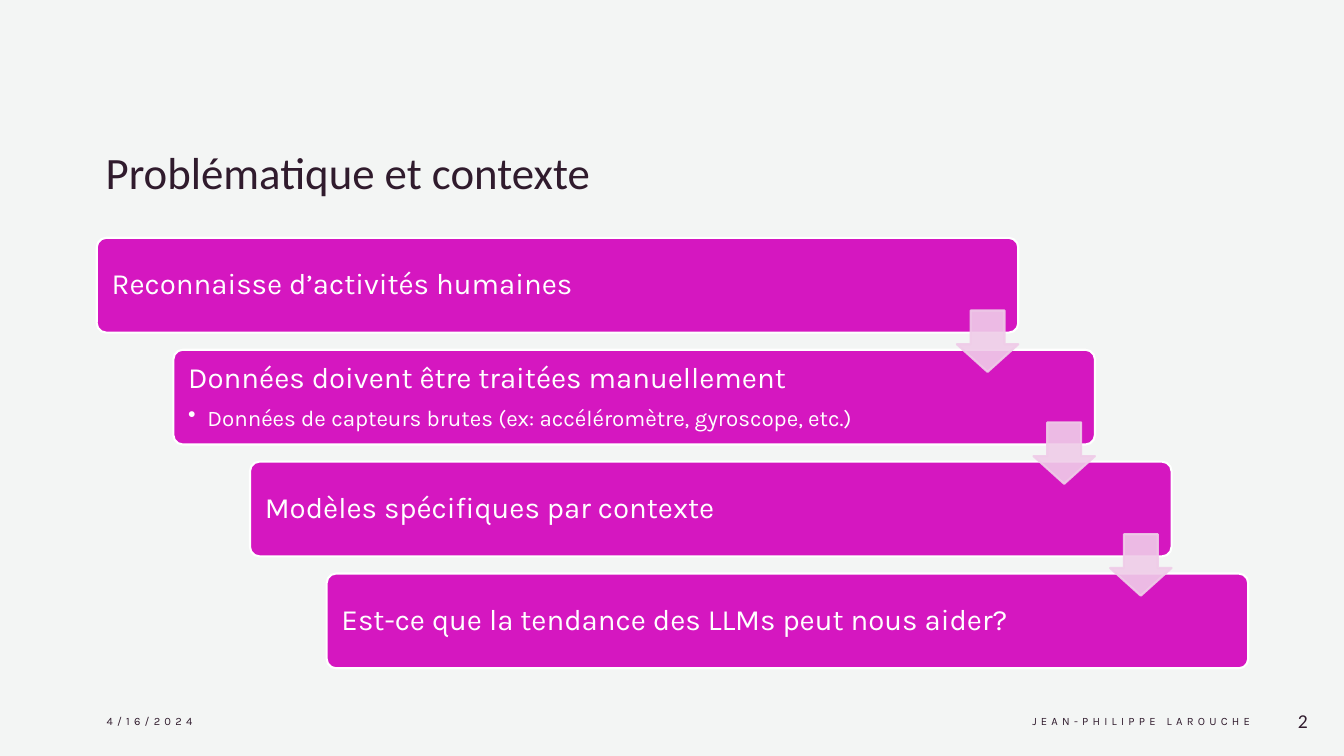
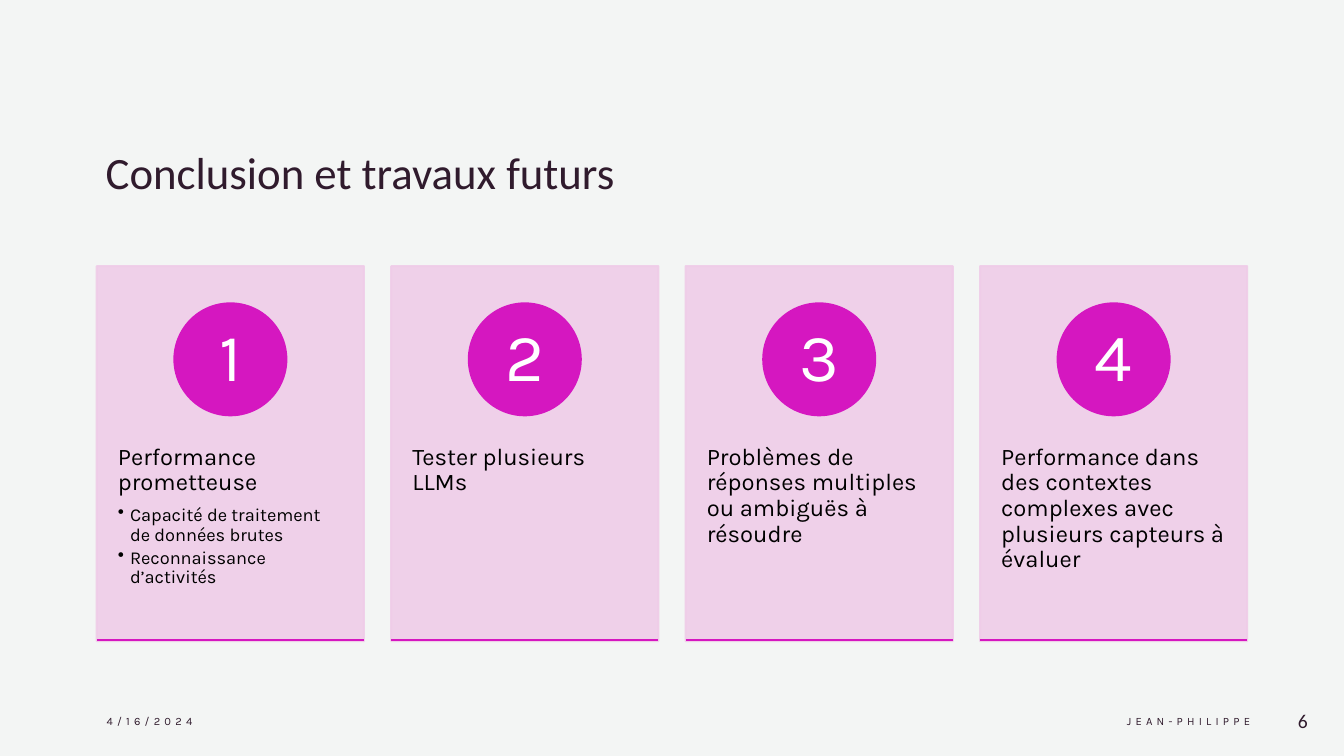
from lxml import etree
from pptx import Presentation
from pptx.dml.color import RGBColor
from pptx.enum.shapes import MSO_CONNECTOR, MSO_SHAPE
from pptx.enum.text import MSO_ANCHOR, PP_ALIGN
from pptx.oxml.ns import qn
from pptx.util import Inches, Pt

RECTANGLE = MSO_SHAPE.RECTANGLE
ROUNDED = MSO_SHAPE.ROUNDED_RECTANGLE
OVAL = MSO_SHAPE.OVAL
DOWN_ARROW = MSO_SHAPE.DOWN_ARROW
STRAIGHT = MSO_CONNECTOR.STRAIGHT
TOP, MIDDLE, BOTTOM = MSO_ANCHOR.TOP, MSO_ANCHOR.MIDDLE, MSO_ANCHOR.BOTTOM
LEFT, CENTER, RIGHT = PP_ALIGN.LEFT, PP_ALIGN.CENTER, PP_ALIGN.RIGHT

COLORS = {
    "page": "F3F5F4",
    "ink": "301B2D",
    "accent": "D517C0",
    "tint": "EFCCE8",
    "white": "FFFFFF",
    "black": "000000",
}
DATE = "4/16/2024"
LINE_WIDTH = 1.5
BODY_SPACING = 0.9
HEAD_GAP = 0.41
BULLET_GAP = 0.18

STYLES = {
    "title": {"font": {"name": "Calibri", "size": Pt(32)}, "color": "ink"},
    "footer": {"font": {"name": "Karla", "size": Pt(8)}, "color": "ink",
               "para": {"space_after": Pt(6)}, "tracking": 3},
    "number": {"font": {"name": "Calibri", "size": Pt(14)}, "color": "ink",
               "para": {"space_after": Pt(6)}},
}


def body_style(size, color, gap, align=LEFT, indent=0):
    return {
        "font": {"name": "Karla", "size": Pt(size)},
        "color": color,
        "para": {"line_spacing": BODY_SPACING, "space_after": Pt(round(size * gap, 1)),
                 "alignment": align, "level": 1 if indent else 0},
        "indent": indent,
    }


STYLES.update({
    "step": body_style(21, "white", HEAD_GAP),
    "step_bullet": body_style(16, "white", BULLET_GAP, indent=0.19),
    "card": body_style(17, "black", HEAD_GAP),
    "card_bullet": body_style(13, "black", BULLET_GAP, indent=0.12),
    "badge": body_style(48, "white", HEAD_GAP, CENTER),
})

STEPS = [
    ("Reconnaisse d’activités humaines", []),
    ("Données doivent être traitées manuellement",
     ["Données de capteurs brutes (ex: accéléromètre, gyroscope, etc.)"]),
    ("Modèles spécifiques par contexte", []),
    ("Est-ce que la tendance des LLMs peut nous aider?", []),
]
CARDS = [
    ("Performance prometteuse",
     ["Capacité de traitement de données brutes", "Reconnaissance d’activités"]),
    ("Tester plusieurs LLMs", []),
    ("Problèmes de réponses multiples ou ambiguës à résoudre", []),
    ("Performance dans des contextes complexes avec plusieurs capteurs à évaluer", []),
]


def set_all(target, values):
    for name, value in values.items():
        setattr(target, name, value)


def rgb(name):
    return RGBColor.from_string(COLORS[name])


def paint(fill, color, alpha=100):
    fill.solid()
    fill.fore_color.rgb = rgb(color)
    if alpha < 100:
        clr = fill._xPr.find(qn("a:solidFill")).find(qn("a:srgbClr"))
        etree.SubElement(clr, qn("a:alpha")).set("val", str(alpha * 1000))


def write(box, lines, anchor=MIDDLE, margins=(0.1, 0.05, 0.1, 0.05), align=None):
    frame = box.text_frame
    left, top, right, bottom = (Inches(margin) for margin in margins)
    set_all(frame, {"word_wrap": True, "vertical_anchor": anchor,
                    "margin_left": left, "margin_top": top,
                    "margin_right": right, "margin_bottom": bottom})
    for index, (text, style_name) in enumerate(lines):
        style = STYLES[style_name]
        para = frame.add_paragraph() if index else frame.paragraphs[0]
        set_all(para, style.get("para", {}))
        if align is not None:
            para.alignment = align
        span = para.add_run()
        span.text = text
        set_all(span.font, style["font"])
        span.font.color.rgb = rgb(style["color"])
        if "tracking" in style:
            span.font._element.set("spc", str(style["tracking"] * 100))
        if style.get("indent"):
            indent = Inches(style["indent"])
            properties = para._p.get_or_add_pPr()
            properties.set("marL", str(indent))
            properties.set("indent", str(-indent))
            etree.SubElement(properties, qn("a:buChar")).set("char", "•")


def add_text(page, area, text, style, anchor=MIDDLE, align=LEFT):
    box = page.shapes.add_textbox(*map(Inches, area))
    write(box, [(text, style)], anchor, align=align)


def add_block(page, kind, area, fill, line, alpha=100, adjustments=()):
    block = page.shapes.add_shape(kind, *map(Inches, area))
    block.shadow.inherit = False
    for index, value in enumerate(adjustments):
        block.adjustments[index] = value
    paint(block.fill, fill, alpha)
    paint(block.line.fill, line, alpha)
    block.line.width = Pt(LINE_WIDTH)
    return block


def add_rule(page, left, top, width):
    rule = page.shapes.add_connector(
        STRAIGHT, Inches(left), Inches(top), Inches(left + width), Inches(top))
    paint(rule.line.fill, "accent")
    rule.line.width = Pt(LINE_WIDTH)
    etree.SubElement(rule._element.spPr, qn("a:effectLst"))


def add_page(deck, title, author, number):
    page = deck.slides.add_slide(deck.slide_layouts[6])
    paint(page.background.fill, "page")
    add_text(page, (0.95, 0.64, 11.43, 1.38), title, "title", BOTTOM)
    add_text(page, (0.96, 6.95, 3, 0.4), DATE, "footer")
    add_text(page, (7.8, 6.95, 4.7, 0.4), author, "footer", align=RIGHT)
    add_text(page, (12.5, 6.95, 0.57, 0.4), number, "number", align=RIGHT)
    return page


def body_lines(entry, style):
    heading, bullets = entry
    return [(heading, style)] + [(bullet, style + "_bullet") for bullet in bullets]


def add_staircase(page, area, steps):
    left, top, width, height = area
    step_width, step_height, arrow = 9.14, 0.94, 0.61
    shift = (width - step_width) / (len(steps) - 1)
    drop = (height - step_height) / (len(steps) - 1)
    corners = [(left + index * shift, top + index * drop) for index in range(len(steps))]
    for (x, y), entry in zip(corners, steps):
        step = add_block(page, ROUNDED, (x, y, step_width, step_height),
                         "accent", "white", adjustments=(0.1,))
        write(step, body_lines(entry, "step"), margins=(0.12, 0.12, 1.4, 0.12))
    for x, y in corners[:-1]:
        add_block(page, DOWN_ARROW, (x + step_width - arrow, y + 0.72, arrow, arrow),
                  "tint", "tint", 90, (0.55, 0.45))


def add_card(page, area, number, entry):
    left, top, width, height = area
    badge_size = 1.11
    card = add_block(page, RECTANGLE, area, "tint", "tint", 90)
    write(card, body_lines(entry, "card"), TOP, (0.21, 1.77, 0.21, 0.36))
    badge = add_block(page, OVAL, (left + (width - badge_size) / 2, top + 0.37,
                                   badge_size, badge_size), "accent", "accent")
    write(badge, [(str(number), "badge")], margins=(0.09, 0.01, 0.09, 0.01))
    add_rule(page, left, top + height - 0.01, width)


def add_card_row(page, area, cards):
    left, top, width, height = area
    card_width = 2.65
    pitch = (width - card_width) / (len(cards) - 1)
    for index, entry in enumerate(cards):
        add_card(page, (left + index * pitch, top, card_width, height), index + 1, entry)


def main():
    deck = Presentation()
    set_all(deck, {"slide_width": Inches(13.33), "slide_height": Inches(7.5)})
    context = add_page(deck, "Problématique et contexte", "JEAN-PHILIPPE LAROUCHE", "2")
    add_staircase(context, (0.96, 2.36, 11.42, 4.27), STEPS)
    conclusion = add_page(deck, "Conclusion et travaux futurs", "JEAN-PHILIPPE", "6")
    add_card_row(conclusion, (0.96, 2.64, 11.41, 3.72), CARDS)
    deck.save("out.pptx")


if __name__ == "__main__":
    main()
